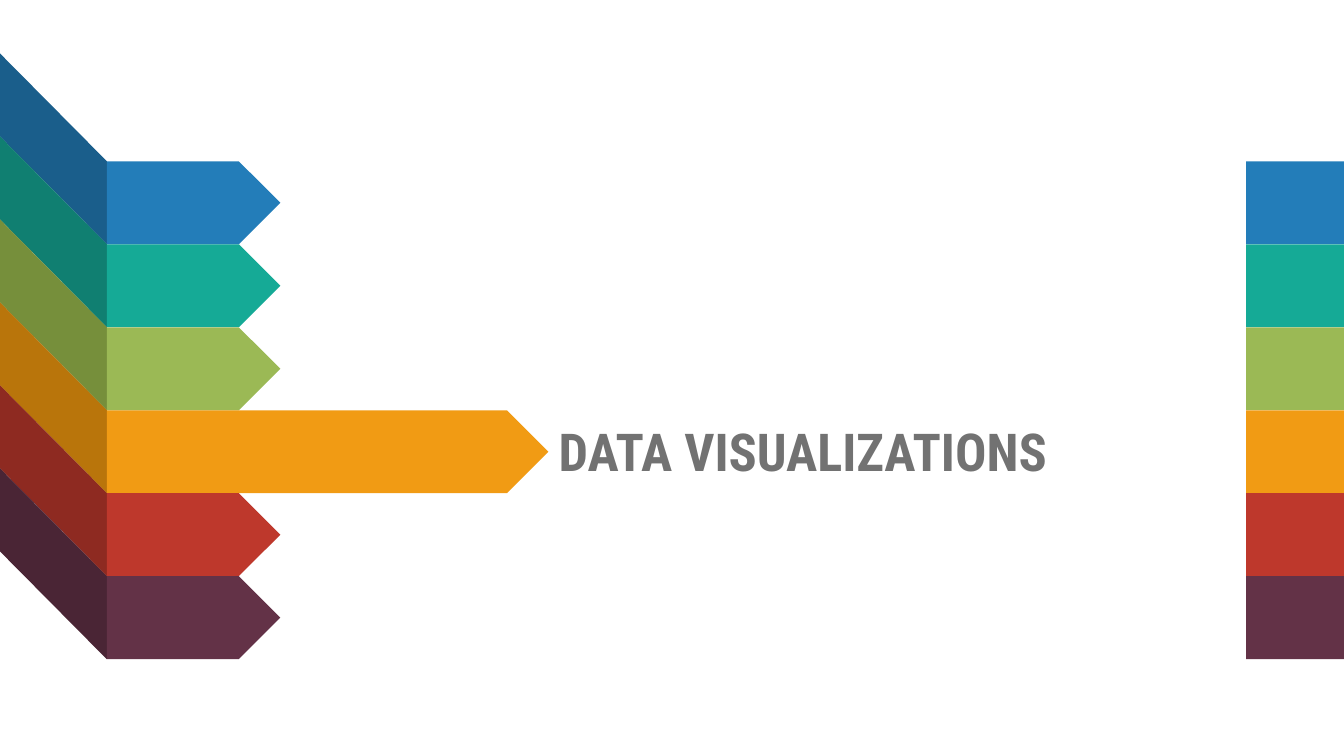
from dataclasses import dataclass

from pptx import Presentation
from pptx.dml.color import RGBColor
from pptx.enum.shapes import MSO_SHAPE as Shape
from pptx.enum.text import MSO_ANCHOR as Anchor, MSO_AUTO_SIZE as AutoSize, PP_ALIGN as Align
from pptx.util import Inches, Pt


@dataclass(frozen=True)
class Theme:
    font: str = "Roboto Condensed"
    title_size: float = 37.3
    title_color: str = "727272"
    # (front colour, shaded fold colour), top to bottom
    bands: tuple = (
        ("237DB9", "1A5E8B"),
        ("15AA96", "107F71"),
        ("9BB955", "768F3B"),
        ("F19B14", "B9750B"),
        ("BE382C", "8E2A21"),
        ("633247", "4A2535"),
    )


theme = Theme()


def paint(shape, color):
    shape.fill.solid()
    shape.fill.fore_color.rgb = RGBColor.from_string(color)
    shape.line.fill.background()
    shape.shadow.inherit = False


def write(frame, text, *, size, color, bold=False, align=Align.LEFT):
    frame.word_wrap = True
    frame.auto_size = AutoSize.NONE
    frame.vertical_anchor = Anchor.MIDDLE
    paragraph = frame.paragraphs[0]
    paragraph.alignment = align
    run = paragraph.add_run()
    run.text = text
    run.font.name = theme.font
    run.font.size = Pt(size)
    run.font.bold = bold
    run.font.color.rgb = RGBColor.from_string(color)


presentation = Presentation()
presentation.slide_width = Inches(13.33)
presentation.slide_height = Inches(7.5)
slide = presentation.slides.add_slide(presentation.slide_layouts[5])

# Layout of the bands
bands_top, bands_bottom = 1.6, 6.54
band_height = (bands_bottom - bands_top) / len(theme.bands)
fold_x = 1.06
fold_rise = 1.07
arrow_width, active_width = 1.72, 4.38
active_band = 3
edge_x, edge_width = 12.36, 0.98

for index, (front_color, fold_color) in enumerate(theme.bands):
    top = bands_top + index * band_height
    bottom = top + band_height

    # Slanted fold coming in from the left edge
    corners = [
        (fold_x, top),
        (fold_x, bottom),
        (0, bottom - fold_rise),
        (0, top - fold_rise),
    ]
    points = [(Inches(x), Inches(y)) for x, y in corners]
    builder = slide.shapes.build_freeform(*points[0])
    builder.add_line_segments(points[1:], close=True)
    paint(builder.convert_to_shape(), fold_color)

    # Arrow, longer for the active band, and block at the right edge
    width = active_width if index == active_band else arrow_width
    for preset, left, shape_width in (
        (Shape.PENTAGON, fold_x, width),
        (Shape.RECTANGLE, edge_x, edge_width),
    ):
        shape = slide.shapes.add_shape(
            preset, Inches(left), Inches(top), Inches(shape_width), Inches(band_height)
        )
        paint(shape, front_color)

# Title beside the active arrow
title = slide.shapes.title
title.left, title.top = Inches(5.44), Inches(4.11)
title.width, title.height = Inches(6.03), Inches(0.73)
write(title.text_frame, "DATA VISUALIZATIONS", size=theme.title_size,
      color=theme.title_color, bold=True)

presentation.save("out.pptx")
